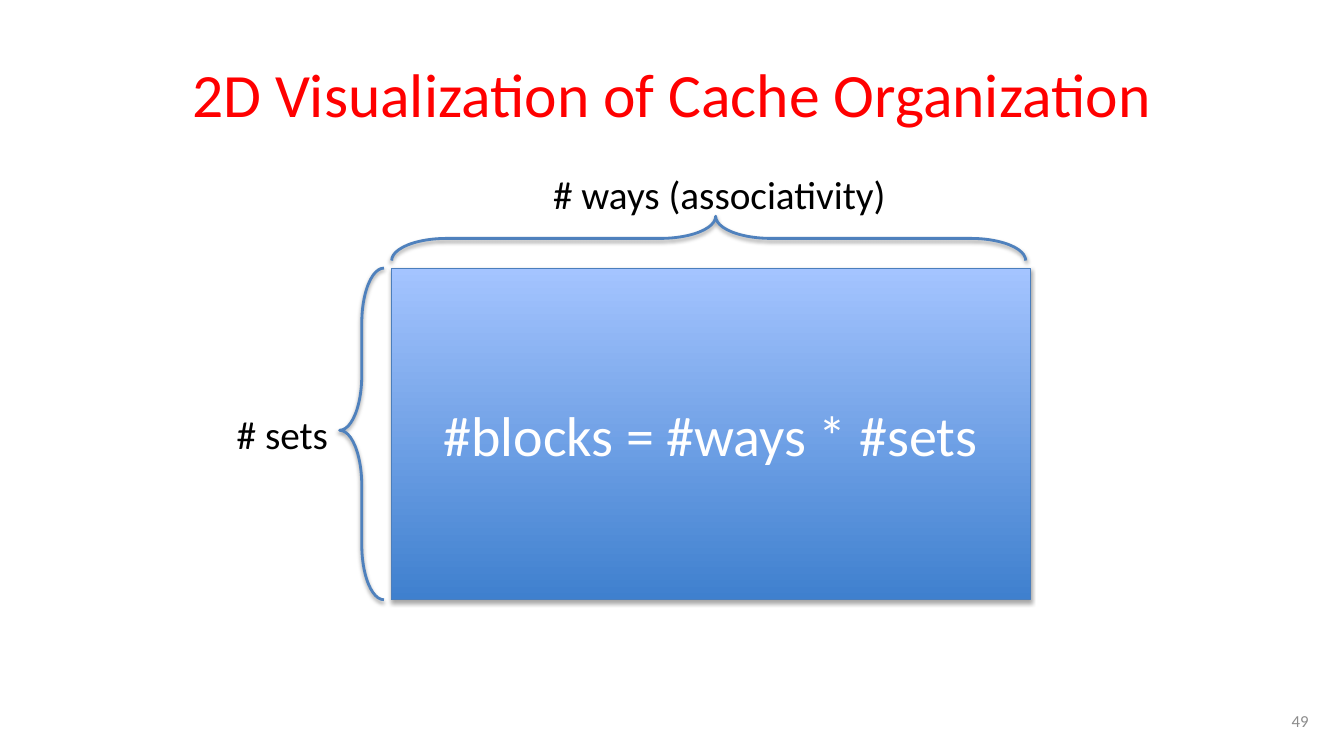
from lxml import etree
from pptx import Presentation
from pptx import util as u
from pptx.dml.color import RGBColor
from pptx.enum import shapes, text
from pptx.oxml.ns import qn

TITLE = "2D Visualization of Cache Organization"
FORMULA = "#blocks = #ways * #sets"
LABELS = [
    ("# ways (associativity)", (388, 118, 255, 41), 28, "000000", "LEFT"),
    ("# sets", (162, 289.5, 80.6, 41), 28, "000000", "LEFT"),
    ("49", (717.8, 500.4, 224, 28.8), 12, "8C8C8C", "RIGHT"),
]
COLORS = {"title": "FF0000", "light": "A4C4FF", "dark": "3F80CE",
          "edge": "4B7EBC", "brace": "4F81BD", "formula": "FFFFFF", "shadow": "000000"}

CACHE = (279.4, 191.5, 456.5, 236.9)
BRACE_W = 31.7
WAYS_SPAN = 452.9
WAYS_CENTER = (506.2, 170.3)
SETS_LEFT = 242.6


def rgb(value):
    return RGBColor.from_string(value)


def points(box):
    return [u.Pt(v) for v in box]


def write(sp, words, size, color, align):
    tf = sp.text_frame
    tf.text = words
    p = tf.paragraphs[0]
    p.alignment = getattr(text.PP_ALIGN, align)
    p.font.name, p.font.size = "Calibri", u.Pt(size)
    p.font.color.rgb = rgb(color)
    return tf


def cast_shadow(sp, alpha, distance):
    sp.shadow.inherit = False
    effects = sp._element.spPr.find(qn("a:effectLst"))
    shadow = etree.SubElement(effects, qn("a:outerShdw"), blurRad=str(u.Pt(3.1)),
                              dist=str(u.Pt(distance)), dir="5400000", rotWithShape="0")
    color = etree.SubElement(shadow, qn("a:srgbClr"), val=COLORS["shadow"])
    etree.SubElement(color, qn("a:alpha"), val=str(alpha * 1000))


def add_brace(s, box, rotation):
    sp = s.shapes.add_shape(shapes.MSO_SHAPE.LEFT_BRACE, *points(box))
    sp.rotation = rotation
    sp.adjustments[0], sp.adjustments[1] = 1.242, 0.489
    sp.fill.background()
    sp.line.color.rgb, sp.line.width = rgb(COLORS["brace"]), u.Pt(2)
    cast_shadow(sp, 38, 1.6)


def add_cache(s):
    sp = s.shapes.add_shape(shapes.MSO_SHAPE.RECTANGLE, *points(CACHE))
    sp.fill.gradient()
    sp.fill.gradient_angle = 90
    for stop, name in zip(sp.fill.gradient_stops, ("dark", "light")):
        stop.color.rgb = rgb(COLORS[name])
    sp.line.color.rgb, sp.line.width = rgb(COLORS["edge"]), u.Pt(0.75)
    cast_shadow(sp, 35, 1.8)
    tf = write(sp, FORMULA, 40, COLORS["formula"], "CENTER")
    tf.vertical_anchor = text.MSO_ANCHOR.MIDDLE


def main():
    prs = Presentation()
    prs.slide_width, prs.slide_height = u.Pt(960), u.Pt(540)
    s = prs.slides.add_slide(prs.slide_layouts[5])

    title = s.shapes.title
    title.left, title.top, title.width, title.height = points((48, 21.6, 864, 90))
    tf = write(title, TITLE, 44, COLORS["title"], "CENTER")
    tf.vertical_anchor = text.MSO_ANCHOR.MIDDLE

    add_cache(s)
    add_brace(s, (SETS_LEFT, CACHE[1], BRACE_W, CACHE[3]), 0)
    x, y = WAYS_CENTER
    add_brace(s, (x - BRACE_W / 2, y - WAYS_SPAN / 2, BRACE_W, WAYS_SPAN), 90)

    for words, box, size, color, align in LABELS:
        sp = s.shapes.add_textbox(*points(box))
        tf = write(sp, words, size, color, align)
        tf.word_wrap = align == "RIGHT"
        tf.vertical_anchor = text.MSO_ANCHOR.MIDDLE if tf.word_wrap else text.MSO_ANCHOR.TOP

    prs.save("out.pptx")


if __name__ == "__main__":
    main()
